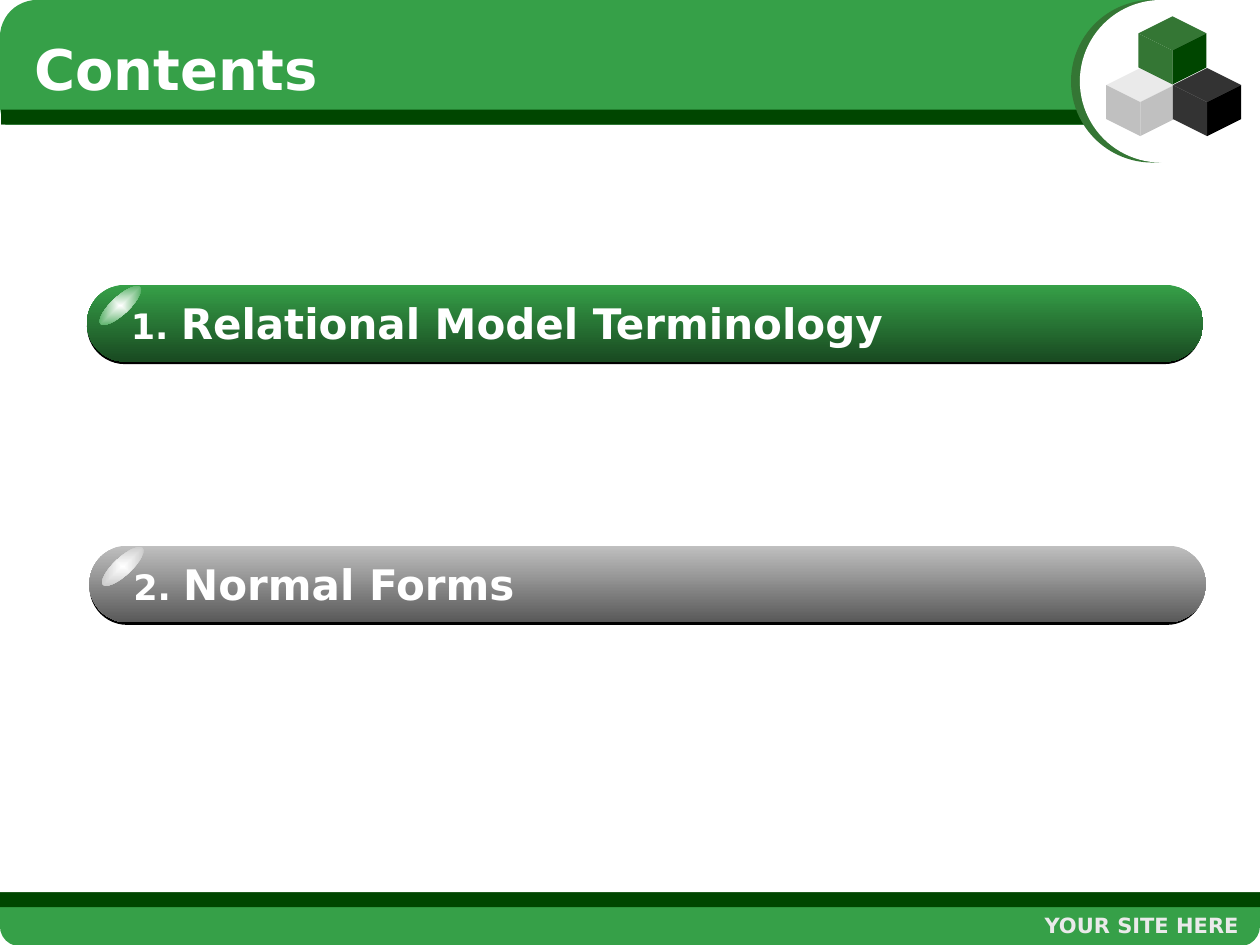
from lxml.etree import SubElement
from pptx import Presentation
from pptx.dml.color import RGBColor
from pptx.enum.shapes import MSO_SHAPE
from pptx.enum.text import MSO_ANCHOR, MSO_AUTO_SIZE, PP_ALIGN
from pptx.oxml.ns import qn
from pptx.util import Inches, Pt

GREEN = RGBColor(0x36, 0xA0, 0x48)
DEEP_GREEN = RGBColor(0x19, 0x4A, 0x21)
DARK_GREEN = RGBColor(0x00, 0x46, 0x00)
MOSS = RGBColor(0x34, 0x76, 0x34)
WHITE = RGBColor(0xFF, 0xFF, 0xFF)
PALE_GRAY = RGBColor(0xEA, 0xEA, 0xEA)
SILVER = RGBColor(0xC0, 0xC0, 0xC0)
GRAY = RGBColor(0x59, 0x59, 0x59)
CHARCOAL = RGBColor(0x33, 0x33, 0x33)
BLACK = RGBColor(0x00, 0x00, 0x00)

# The slide is a grid of square cells
COLUMNS, ROWS = 100, 75
CELL = Inches(0.1)


def cells(*counts):
    return [round(count * CELL) for count in counts]


def write(text_frame, *runs, font="DejaVu Sans", color=WHITE,
          align=PP_ALIGN.LEFT, anchor=MSO_ANCHOR.TOP):
    """Fill one bold paragraph with (text, size) runs."""
    text_frame.word_wrap = True
    text_frame.auto_size = MSO_AUTO_SIZE.NONE
    text_frame.vertical_anchor = anchor
    paragraph = text_frame.paragraphs[0]
    paragraph.alignment = align
    for text, size in runs:
        run = paragraph.add_run()
        run.text = text
        run.font.name = font
        run.font.size = Pt(size)
        run.font.bold = True
        run.font.color.rgb = color


class ContentsSlide:
    def __init__(self, presentation):
        self.slide = presentation.slides.add_slide(presentation.slide_layouts[5])
        self.shapes = self.slide.shapes

    def finish(self, shape, fill):
        shape.shadow.inherit = False
        shape.line.fill.background()
        if isinstance(fill, RGBColor):
            shape.fill.solid()
            shape.fill.fore_color.rgb = fill
        else:
            shape.fill.gradient()
            shape.fill.gradient_angle = 270
            for stop, color in zip(shape.fill.gradient_stops, fill):
                stop.color.rgb = color
        return shape

    def block(self, kind, left, top, width, height, fill, corner=None):
        shape = self.shapes.add_shape(kind, *cells(left, top, width, height))
        if corner is not None:
            shape.adjustments[0] = corner
        return self.finish(shape, fill)

    def polygon(self, points, fill):
        start, *others = [cells(*point) for point in points]
        builder = self.shapes.build_freeform(*start)
        builder.add_line_segments(others, close=True)
        return self.finish(builder.convert_to_shape(), fill)

    def cube(self, left, top, top_color, left_color, right_color):
        half, quarter = 2.7, 1.35
        middle = left + half
        self.block(MSO_SHAPE.DIAMOND, left, top, 2 * half, half, top_color)
        for edge, color in ((left + 2 * half, right_color), (left, left_color)):
            self.polygon([(edge, top + quarter), (middle, top + half),
                          (middle, top + 2 * half), (edge, top + half + quarter)],
                         color)

    def glint(self, left, top, color):
        shape = self.block(MSO_SHAPE.OVAL, left, top, 4.3, 1.4, (WHITE, color))
        shape.rotation = 317.2
        # Turn the linear gradient into one that spreads from the centre
        gradient = shape.fill._xPr.find(qn("a:gradFill"))
        gradient.remove(gradient.find(qn("a:lin")))
        spread = SubElement(gradient, qn("a:path"), {"path": "rect"})
        SubElement(spread, qn("a:fillToRect"),
                   {side: "50000" for side in "ltrb"})

    def label(self, left, top, width, height, *runs, **style):
        box = self.shapes.add_textbox(*cells(left, top, width, height))
        write(box.text_frame, *runs, **style)

    def title(self, left, top, width, height, text, size):
        title = self.shapes.title
        title.left, title.top, title.width, title.height = cells(
            left, top, width, height)
        write(title.text_frame, (text, size))
        # Bring the title in front of the banner
        self.shapes._spTree.append(title._element)

    def entry(self, left, top, number, text, color, shade):
        pill = MSO_SHAPE.ROUNDED_RECTANGLE
        self.block(pill, left, top + 0.3, 88.5, 6, BLACK, corner=0.5)
        self.block(pill, left, top, 88.6, 6.1, (color, shade), corner=0.5)
        self.glint(left + 0.5, top + 0.95, color)
        self.label(left + 2.5, top + 0.8, 65.7, 4.4,
                   (f"{number}. ", 20), (text, 24), anchor=MSO_ANCHOR.MIDDLE)


def main():
    presentation = Presentation()
    presentation.slide_width, presentation.slide_height = cells(COLUMNS, ROWS)
    page = ContentsSlide(presentation)
    rounded, rectangle = MSO_SHAPE.ROUNDED_RECTANGLE, MSO_SHAPE.RECTANGLE

    # Footer and header bands, with the white page between them
    page.block(rounded, 0, 69, COLUMNS, 6.1, GREEN, corner=0.26)
    page.block(rounded, 0, 0, 93.6, 11.3, GREEN, corner=0.26)
    page.block(rectangle, 0.1, 8.7, 93.6, 1.2, DARK_GREEN)
    page.block(rectangle, 0, 70.8, COLUMNS, 1.2, DARK_GREEN)
    page.block(rectangle, 0, 9.9, COLUMNS, 60.9, WHITE)

    # Crescent and cubes
    for left, color in ((85, MOSS), (85.7, WHITE)):
        page.block(MSO_SHAPE.OVAL, left, 0, 12.9, 12.9, color)
    page.cube(87.8, 5.4, PALE_GRAY, SILVER, SILVER)
    page.cube(93.1, 5.4, CHARCOAL, CHARCOAL, BLACK)
    page.cube(90.35, 1.3, MOSS, MOSS, DARK_GREEN)

    # Footer text and title
    page.label(71.8, 71.9, 27.5, 3.3, ("YOUR SITE HERE", 12),
               color=PALE_GRAY, align=PP_ALIGN.RIGHT)
    page.title(1.7, 2.2, 85.8, 6.7, "Contents", 32)

    # Contents entries
    page.entry(6.9, 22.6, 1, "Relational Model Terminology", GREEN, DEEP_GREEN)
    page.entry(7.1, 43.3, 2, "Normal Forms", SILVER, GRAY)

    presentation.save("out.pptx")


if __name__ == "__main__":
    main()
